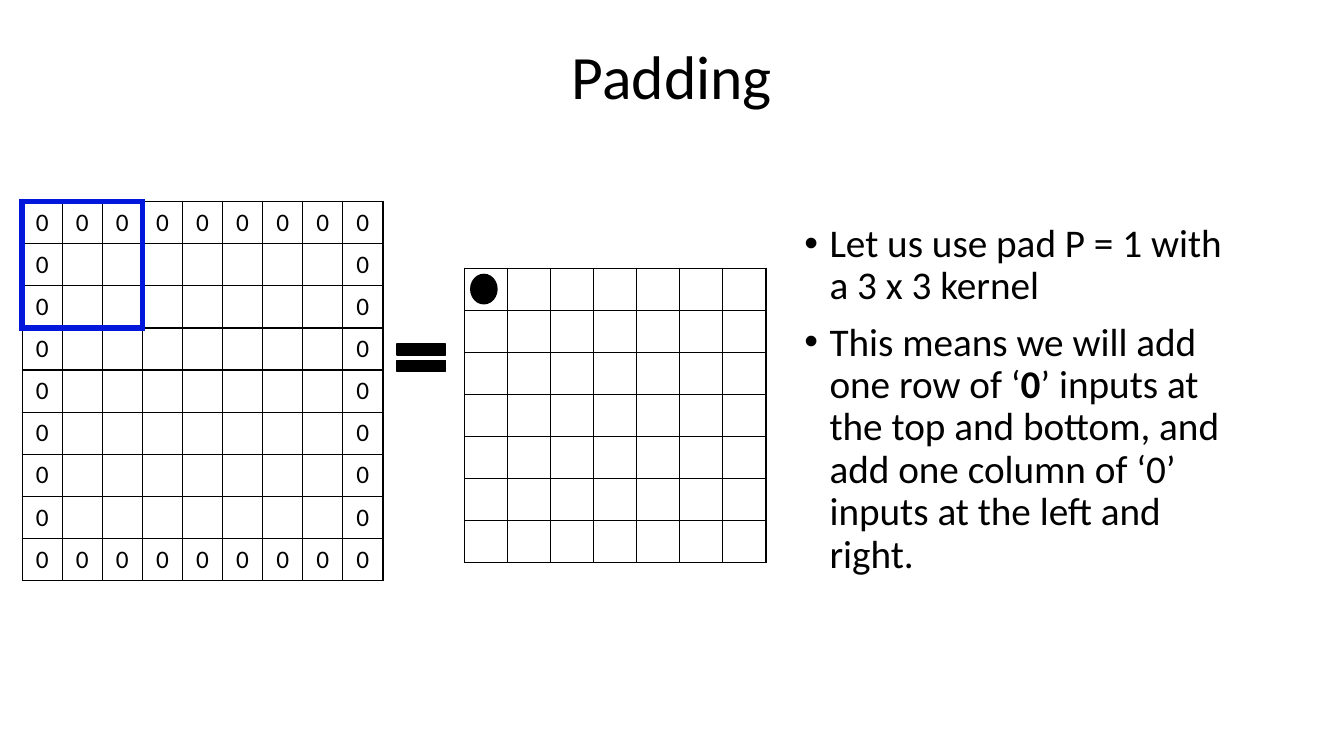
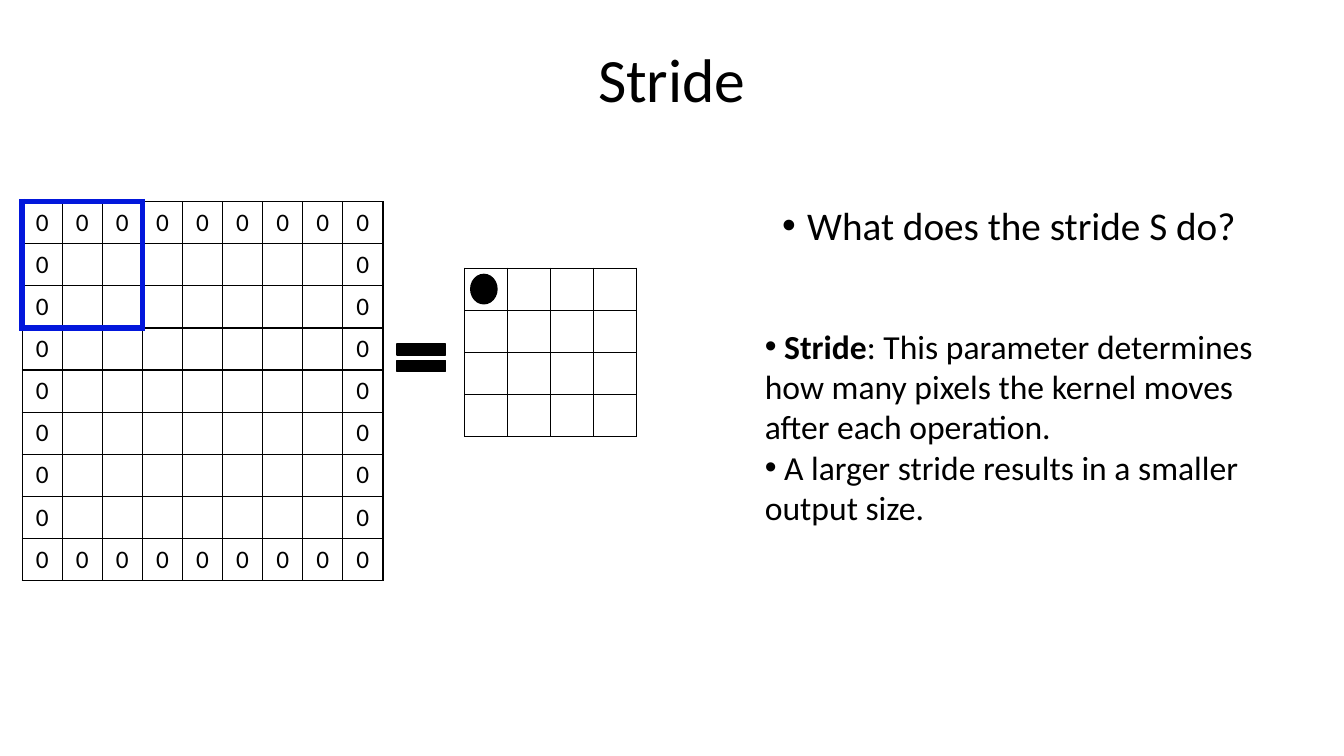
from lxml import etree
from pptx import Presentation
from pptx.dml.color import RGBColor
from pptx.enum import shapes, text
from pptx.oxml import ns
from pptx.util import Pt

COLORS = {"ink": "000000", "kernel": "0217DC"}
FONT = "Calibri"
PLAIN_TABLE = "{2D5ABB26-0587-4C30-8999-92F81FD0307C}"
TITLE = {"size": 44, "align": "CENTER", "anchor": "MIDDLE", "spacing": 0.9}
BULLETS = {"size": 28, "bullet": True, "indent": 18, "spacing": 0.9, "before": 10}
NOTES = {"size": 24, "bullet": True}

GRID_LEFT, GRID_TOP = 15.84, 144
OUTPUT_LEFT, OUTPUT_TOP = 332, 191.5
INPUT_CELL, OUTPUT_CELL, ROW = 28.64, 30.75, 30.08
INPUT_SIZE, KERNEL_SIZE = 9, 3


def add_text(page, place, paragraphs, style):
    box = page.shapes.add_textbox(*map(Pt, place))
    frame = box.text_frame
    frame.word_wrap = True
    frame.vertical_anchor = text.MSO_ANCHOR[style.get("anchor", "TOP")]
    for index, spans in enumerate(paragraphs):
        para = frame.add_paragraph() if index else frame.paragraphs[0]
        settings = {
            "alignment": text.PP_ALIGN[style.get("align", "LEFT")],
            "line_spacing": style.get("spacing", 1.0),
            "space_before": Pt(style.get("before", 0) if index else 0),
        }
        for name, value in settings.items():
            setattr(para, name, value)
        if style.get("bullet"):
            properties = para._p.get_or_add_pPr()
            indent = Pt(style.get("indent", 0))
            properties.set("marL", str(indent))
            properties.set("indent", str(-indent))
            etree.SubElement(properties, ns.qn("a:buFont"), typeface="Arial")
            etree.SubElement(properties, ns.qn("a:buChar"), char="•")
        for words, bold in spans:
            span = para.add_run()
            span.text = words
            for name, value in {"name": FONT, "size": Pt(style["size"]), "bold": bold}.items():
                setattr(span.font, name, value)
            span.font.color.rgb = RGBColor.from_string(COLORS["ink"])


def add_grid(page, left, top, count, cell_width, color, line_width, inner=True, padded=False):
    frame = page.shapes.add_table(
        count, count, Pt(left), Pt(top), Pt(cell_width * count), Pt(ROW * count))
    table = frame.table
    table.first_row = table.horz_banding = False
    table._tbl.tblPr.find(ns.qn("a:tableStyleId")).text = PLAIN_TABLE
    last = count - 1
    for index in range(count):
        table.columns[index].width = Pt(cell_width)
        table.rows[index].height = Pt(ROW)
    for row in range(count):
        for column in range(count):
            cell = table.cell(row, column)
            cell.vertical_anchor = text.MSO_ANCHOR.MIDDLE
            properties = cell._tc.get_or_add_tcPr()
            outer = {"lnL": column == 0, "lnR": column == last,
                     "lnT": row == 0, "lnB": row == last}
            for side, on_edge in outer.items():
                if inner or on_edge:
                    line = etree.SubElement(properties, ns.qn(f"a:{side}"), w=str(Pt(line_width)))
                    fill = etree.SubElement(line, ns.qn("a:solidFill"))
                    etree.SubElement(fill, ns.qn("a:srgbClr"), val=COLORS[color])
            cell.fill.background()
            if padded and any(outer.values()):
                para = cell.text_frame.paragraphs[0]
                para.alignment = text.PP_ALIGN.CENTER
                span = para.add_run()
                span.text = "0"
                for name, value in {"name": FONT, "size": Pt(18)}.items():
                    setattr(span.font, name, value)
                span.font.color.rgb = RGBColor.from_string(COLORS["ink"])


SLIDES = [
    {
        "title": "Padding", "title_height": 55.5, "output_size": 7,
        "texts": [
            ((567.5, 156.25, 327, 270), BULLETS, [
                [("Let us use pad P = 1 with a 3 x 3 kernel", False)],
                [("This means we will add one row of ‘", False), ("0", True),
                 ("’ inputs at the top and bottom, and add one column of ‘0’ inputs "
                  "at the left and right.", False)],
            ]),
        ],
    },
    {
        "title": "Stride", "title_height": 61, "output_size": 4,
        "texts": [
            ((551.5, 144, 342.5, 342.5), BULLETS, [[("What does the stride S do?", False)]]),
            ((539.25, 229, 366.5, 152.5), NOTES, [
                [(" Stride", True),
                 (": This parameter determines how many pixels the kernel moves "
                  "after each operation.", False)],
                [(" A larger stride results in a smaller output size.", False)],
            ]),
        ],
    },
]
MARKS = [
    (shapes.MSO_SHAPE.OVAL, (336.25, 196, 18.75, 21)),
    (shapes.MSO_SHAPE.MATH_EQUAL, (277.2, 239, 47.5, 33)),
]

deck = Presentation()
deck.slide_width, deck.slide_height = Pt(960), Pt(540)

for content in SLIDES:
    page = deck.slides.add_slide(deck.slide_layouts[6])
    add_text(page, (66, 28.8, 828, content["title_height"]), [[(content["title"], False)]], TITLE)
    add_grid(page, GRID_LEFT, GRID_TOP, INPUT_SIZE, INPUT_CELL, "ink", 1, padded=True)
    add_grid(page, GRID_LEFT, GRID_TOP, KERNEL_SIZE, INPUT_CELL, "kernel", 4.5, inner=False)
    for kind, place in MARKS:
        mark = page.shapes.add_shape(kind, *map(Pt, place))
        mark.shadow.inherit = False
        mark.fill.solid()
        mark.fill.fore_color.rgb = RGBColor.from_string(COLORS["ink"])
        mark.line.color.rgb = RGBColor.from_string(COLORS["ink"])
        mark.line.width = Pt(1)
    add_grid(page, OUTPUT_LEFT, OUTPUT_TOP, content["output_size"], OUTPUT_CELL, "ink", 1)
    for place, style, paragraphs in content["texts"]:
        add_text(page, place, paragraphs, style)

deck.save("out.pptx")
